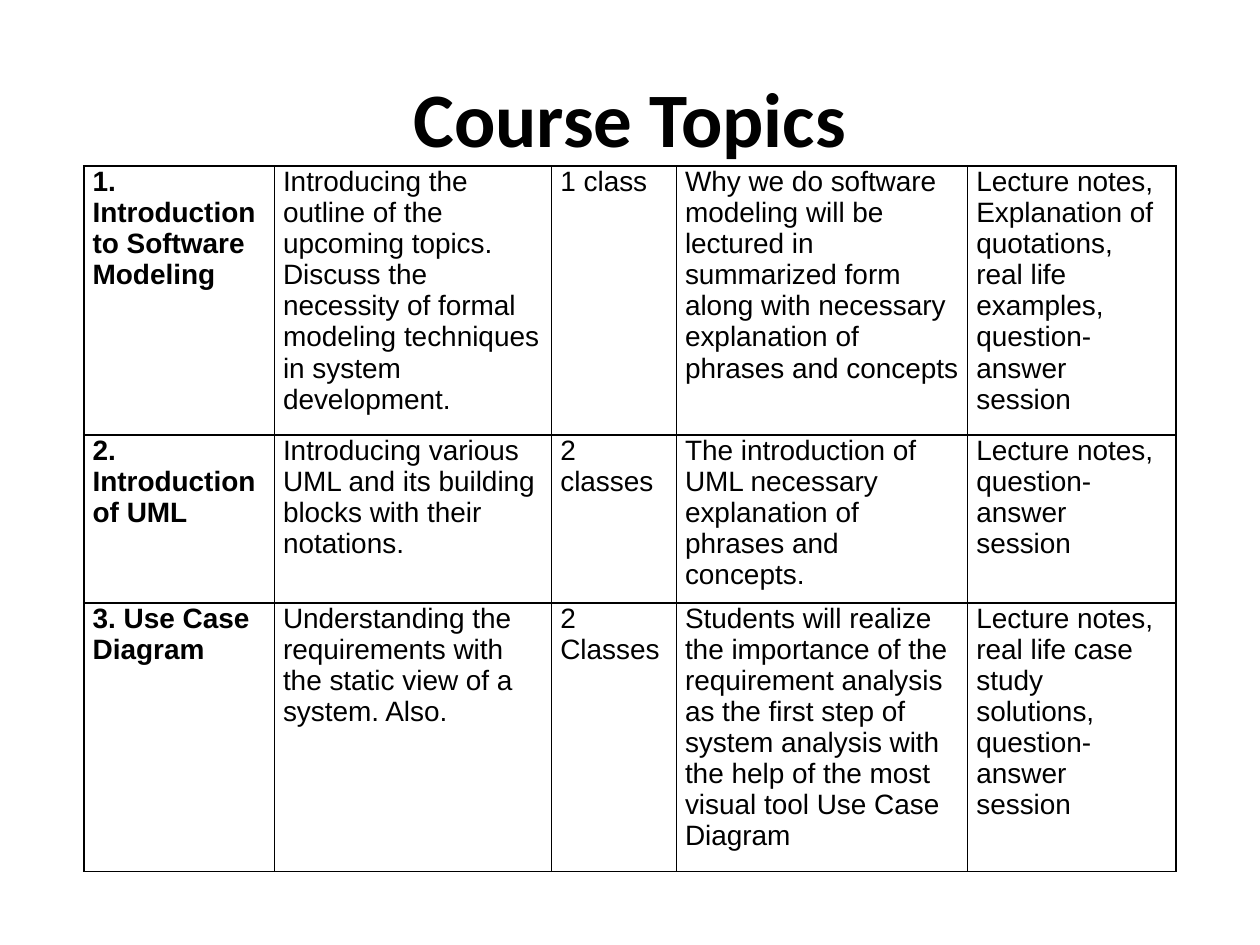
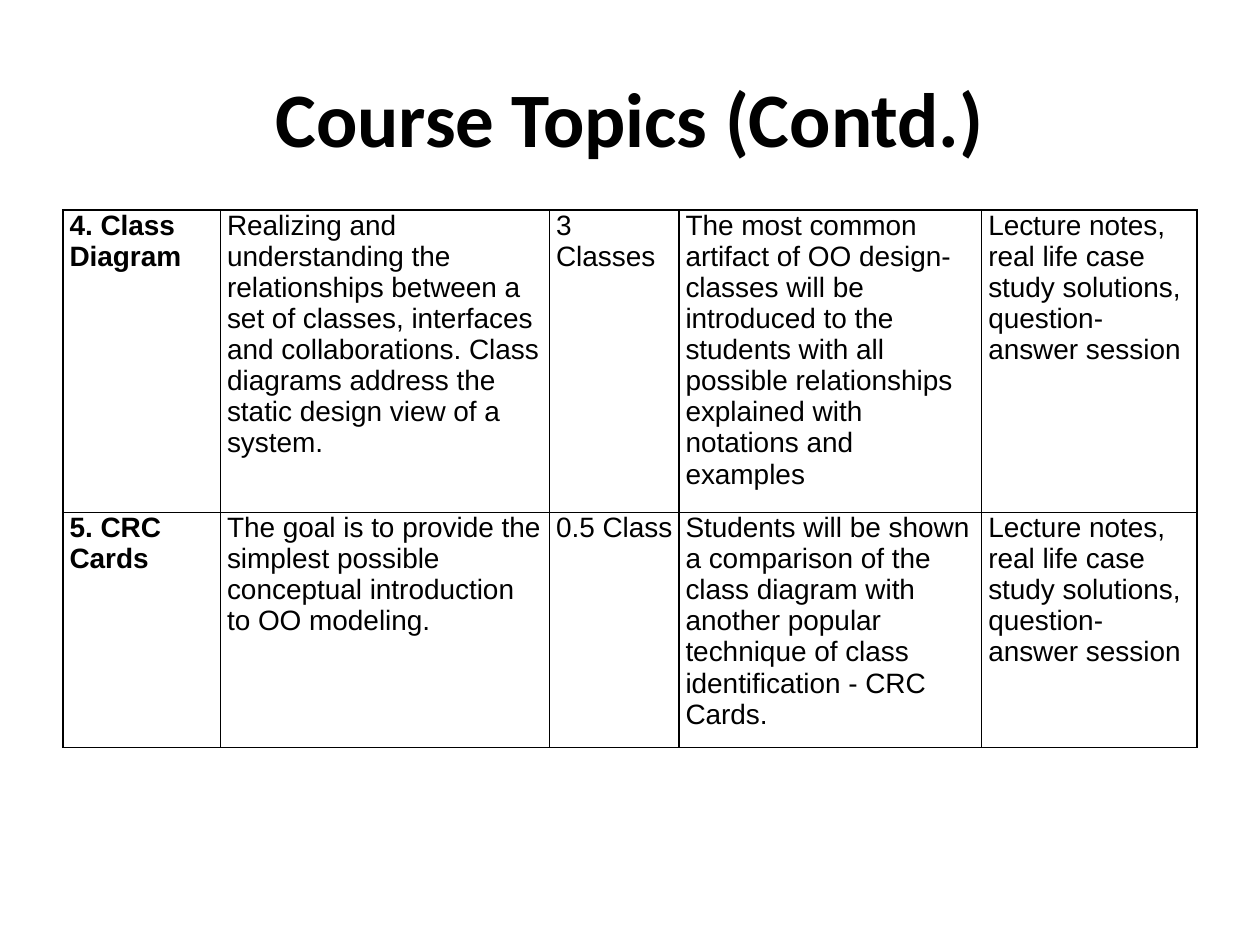
from dataclasses import dataclass

from lxml import etree
from pptx import Presentation
from pptx.dml.color import RGBColor
from pptx.enum.text import MSO_ANCHOR, MSO_AUTO_SIZE, PP_ALIGN
from pptx.oxml.ns import qn
from pptx.util import Pt

LEFT, CENTER = PP_ALIGN.LEFT, PP_ALIGN.CENTER
TOP, MIDDLE = MSO_ANCHOR.TOP, MSO_ANCHOR.MIDDLE
NO_AUTOFIT = MSO_AUTO_SIZE.NONE
TITLE_ONLY_LAYOUT = 5


@dataclass(frozen=True)
class Theme:
    ink: str = "000000"
    title_font: str = "Calibri"
    table_font: str = "Arial"
    title_size: float = 44
    table_size: float = 16
    inner_line: float = 1
    outer_line: float = 1.5


@dataclass(frozen=True)
class Topic:
    name: str
    objective: str
    duration: str
    activity: str
    methods: str


@dataclass(frozen=True)
class TopicSlide:
    title: str
    left: float
    top: float
    column_widths: tuple[float, ...]
    row_heights: tuple[float, ...]
    side_margin: float
    topics: tuple[Topic, ...]


THEME = Theme()
CASE_STUDY_METHODS = "Lecture notes, real life case study solutions, question-answer session"

TOPIC_SLIDES = (
    TopicSlide(
        title="Course Topics",
        left=48,
        top=95,
        column_widths=(108.75, 158.5, 71.25, 166.5, 119),
        row_heights=(153.5, 96, 153.5),
        side_margin=5,
        topics=(
            Topic(
                "1. Introduction to Software Modeling",
                "Introducing the outline of the upcoming topics. Discuss the necessity "
                "of formal modeling techniques in system development.",
                "1 class",
                "Why we do software modeling will be lectured in summarized form along "
                "with necessary explanation of phrases and concepts",
                "Lecture notes, Explanation of quotations, real life examples, "
                "question-answer session",
            ),
            Topic(
                "2. Introduction of UML",
                "Introducing various UML and its building blocks with their notations.",
                "2 classes",
                "The introduction of UML necessary explanation of phrases and concepts.",
                "Lecture notes, question-answer session",
            ),
            Topic(
                "3. Use Case Diagram",
                "Understanding the requirements with the static view of a system. Also.",
                "2 Classes",
                "Students will realize the importance of the requirement analysis as the "
                "first step of system analysis with the help of the most visual tool "
                "Use Case Diagram",
                CASE_STUDY_METHODS,
            ),
        ),
    ),
    TopicSlide(
        title="Course Topics (Contd.)",
        left=36,
        top=120,
        column_widths=(90, 188, 74, 173, 123),
        row_heights=(172.75, 134.5),
        side_margin=3.75,
        topics=(
            Topic(
                "4. Class Diagram",
                "Realizing and understanding the relationships between a set of classes, "
                "interfaces and collaborations. Class diagrams address the static design "
                "view of a system.",
                "3 Classes",
                "The most common artifact of OO design- classes will be introduced to the "
                "students with all possible relationships explained with notations and "
                "examples",
                CASE_STUDY_METHODS,
            ),
            Topic(
                "5. CRC Cards",
                "The goal is to provide the simplest possible conceptual introduction "
                "to OO modeling.",
                "0.5 Class",
                "Students will be shown a comparison of the class diagram with another "
                "popular technique of class identification - CRC Cards.",
                CASE_STUDY_METHODS,
            ),
        ),
    ),
)


def write_text(text_frame, text: str, *, font: str, size: float, bold: bool = False,
               color: str = THEME.ink, alignment=LEFT) -> None:
    paragraph = text_frame.paragraphs[0]
    paragraph.alignment = alignment
    run = paragraph.add_run()
    run.text = text
    run.font.name = font
    run.font.size = Pt(size)
    run.font.bold = bold
    run.font.color.rgb = RGBColor.from_string(color)


def set_borders(cell, *, left: float, right: float) -> None:
    widths = {"a:lnL": left, "a:lnR": right,
              "a:lnT": THEME.inner_line, "a:lnB": THEME.inner_line}
    properties = cell._tc.get_or_add_tcPr()
    for position, (tag, width) in enumerate(widths.items()):
        line = etree.Element(qn(tag), w=str(Pt(width)))
        fill = etree.SubElement(line, qn("a:solidFill"))
        etree.SubElement(fill, qn("a:srgbClr"), val=THEME.ink)
        properties.insert(position, line)


def add_title(slide, text: str) -> None:
    title = slide.shapes.title
    title.left, title.top, title.width, title.height = Pt(36), Pt(21.6), Pt(648), Pt(90)
    title.text_frame.auto_size = NO_AUTOFIT
    title.text_frame.vertical_anchor = MIDDLE
    write_text(title.text_frame, text, font=THEME.title_font, size=THEME.title_size,
               bold=True, alignment=CENTER)


def add_topic_table(slide, content: TopicSlide) -> None:
    widths, heights = content.column_widths, content.row_heights
    table = slide.shapes.add_table(
        len(heights), len(widths), Pt(content.left), Pt(content.top),
        Pt(sum(widths)), Pt(sum(heights))).table
    table.first_row = False
    table.horz_banding = False
    for column, width in zip(table.columns, widths):
        column.width = Pt(width)
    last = len(widths) - 1
    for row, height, topic in zip(table.rows, heights, content.topics):
        row.height = Pt(height)
        texts = (topic.name, topic.objective, topic.duration, topic.activity, topic.methods)
        for index, (cell, text) in enumerate(zip(row.cells, texts)):
            cell.fill.background()
            cell.margin_left = cell.margin_right = Pt(content.side_margin)
            cell.margin_top = cell.margin_bottom = 0
            cell.vertical_anchor = TOP
            set_borders(cell,
                        left=THEME.outer_line if index == 0 else THEME.inner_line,
                        right=THEME.outer_line if index == last else THEME.inner_line)
            write_text(cell.text_frame, text, font=THEME.table_font,
                       size=THEME.table_size, bold=index == 0)


def main() -> None:
    presentation = Presentation()
    presentation.slide_width, presentation.slide_height = Pt(720), Pt(540)
    for content in TOPIC_SLIDES:
        slide = presentation.slides.add_slide(presentation.slide_layouts[TITLE_ONLY_LAYOUT])
        add_title(slide, content.title)
        add_topic_table(slide, content)
    presentation.save("out.pptx")


if __name__ == "__main__":
    main()
